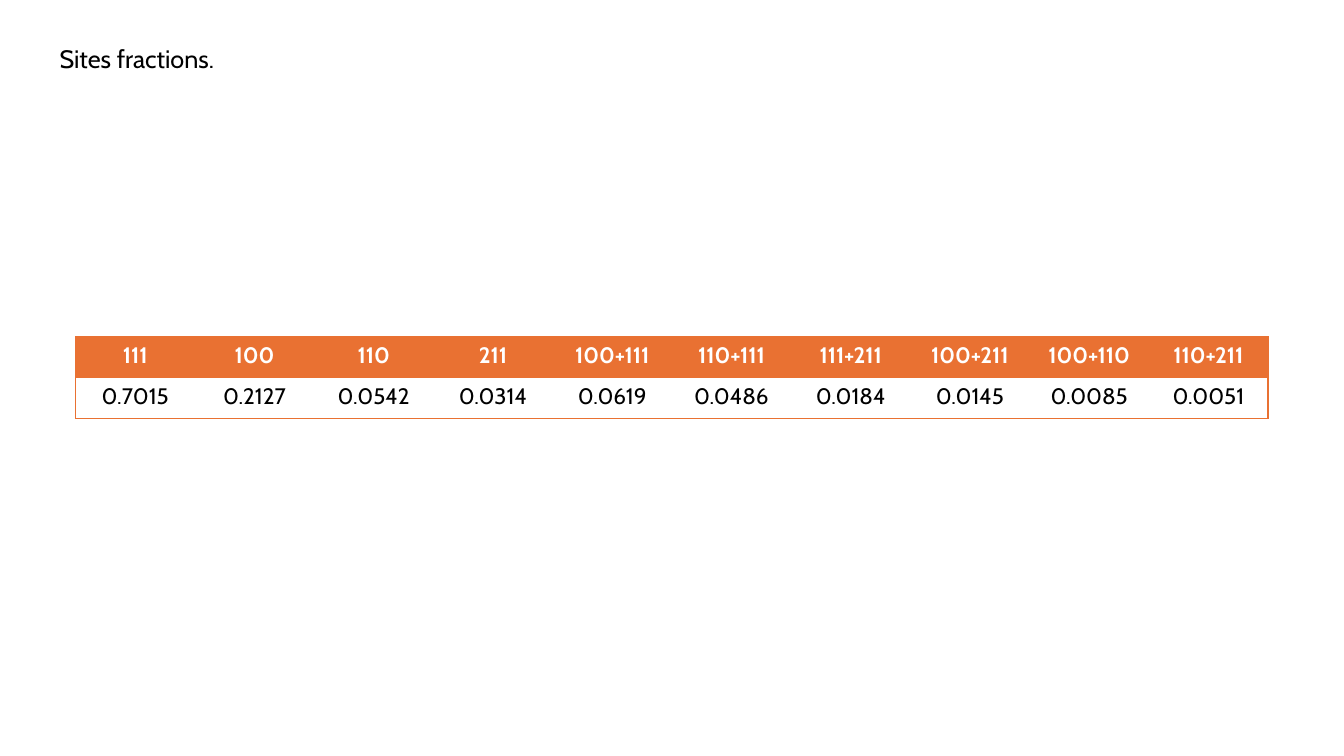
import pptx
import pptx.dml.color
import pptx.enum.text
import pptx.oxml
import pptx.oxml.ns
import pptx.util

COLOURS = {"accent": "E97132", "text": "000000", "header_text": "FFFFFF"}
FONT = "Cabin"
SITE_FRACTIONS = {
    "111": "0.7015",
    "100": "0.2127",
    "110": "0.0542",
    "211": "0.0314",
    "100+111": "0.0619",
    "110+111": "0.0486",
    "111+211": "0.0184",
    "100+211": "0.0145",
    "100+110": "0.0085",
    "110+211": "0.0051",
}


class SlideBuilder:
    """Holds the style and the current slide; lengths are in inches."""

    def __init__(self, presentation):
        self.slide = presentation.slides.add_slide(presentation.slide_layouts[5])

    def colour(self, name):
        return pptx.dml.color.RGBColor.from_string(COLOURS[name])

    def add_run(self, paragraph, text, size, colour, bold=False):
        run = paragraph.add_run()
        run.text = text
        run.font.name = FONT
        run.font.size = pptx.util.Pt(size)
        run.font.bold = bold
        run.font.color.rgb = self.colour(colour)

    def set_title(self, text, left, top, width, height):
        title = self.slide.shapes.title
        title.left, title.top, title.width, title.height = map(
            pptx.util.Inches, (left, top, width, height))
        frame = title.text_frame
        frame.word_wrap = False
        frame.auto_size = pptx.enum.text.MSO_AUTO_SIZE.SHAPE_TO_FIT_TEXT
        frame.vertical_anchor = pptx.enum.text.MSO_ANCHOR.TOP
        paragraph = frame.paragraphs[0]
        paragraph.alignment = pptx.enum.text.PP_ALIGN.LEFT
        paragraph.line_spacing = 1.0
        paragraph.space_before = pptx.util.Pt(0)
        self.add_run(paragraph, text, 18, "text")

    def set_borders(self, cell, visible_sides):
        properties = cell._tc.get_or_add_tcPr()
        namespace = pptx.oxml.ns.nsdecls("a")
        for side in "LRTB":
            if side in visible_sides:
                fill = f'<a:solidFill><a:srgbClr val="{COLOURS["accent"]}"/></a:solidFill>'
            else:
                fill = "<a:noFill/>"
            properties.append(pptx.oxml.parse_xml(
                f'<a:ln{side} {namespace} w="{pptx.util.Pt(1)}">{fill}</a:ln{side}>'))

    def format_cell(self, cell, text, is_header, sides):
        cell.margin_left = cell.margin_right = pptx.util.Inches(0.13)
        cell.margin_top = cell.margin_bottom = pptx.util.Inches(0.05)
        self.set_borders(cell, sides)
        if is_header:
            cell.fill.solid()
            cell.fill.fore_color.rgb = self.colour("accent")
        else:
            cell.fill.background()
        paragraph = cell.text_frame.paragraphs[0]
        paragraph.alignment = pptx.enum.text.PP_ALIGN.CENTER
        self.add_run(paragraph, text, 16, "header_text" if is_header else "text", is_header)

    def add_table(self, rows, left, top, width, height):
        last_column = len(rows[0]) - 1
        table = self.slide.shapes.add_table(
            len(rows), len(rows[0]),
            *map(pptx.util.Inches, (left, top, width, height))).table
        table.horz_banding = False
        for row_index, row in enumerate(rows):
            for column_index, text in enumerate(row):
                # Outer frame, plus the line between header and values
                sides = "T"
                if column_index == 0:
                    sides += "L"
                if column_index == last_column:
                    sides += "R"
                # Adjoining cells agree on the line they share
                sides += "B"
                self.format_cell(table.cell(row_index, column_index), text,
                                 row_index == 0, sides)


def main():
    presentation = pptx.Presentation()
    presentation.slide_width = pptx.util.Inches(13.33)
    presentation.slide_height = pptx.util.Inches(7.5)
    builder = SlideBuilder(presentation)

    # Title
    builder.set_title("Sites fractions.", 0.49, 0.38, 1.82, 0.4)

    # Fractions by site, one column per site
    rows = [list(SITE_FRACTIONS), list(SITE_FRACTIONS.values())]
    builder.add_table(rows, 0.75, 3.34, 11.83, 0.81)

    presentation.save("out.pptx")


if __name__ == "__main__":
    main()
